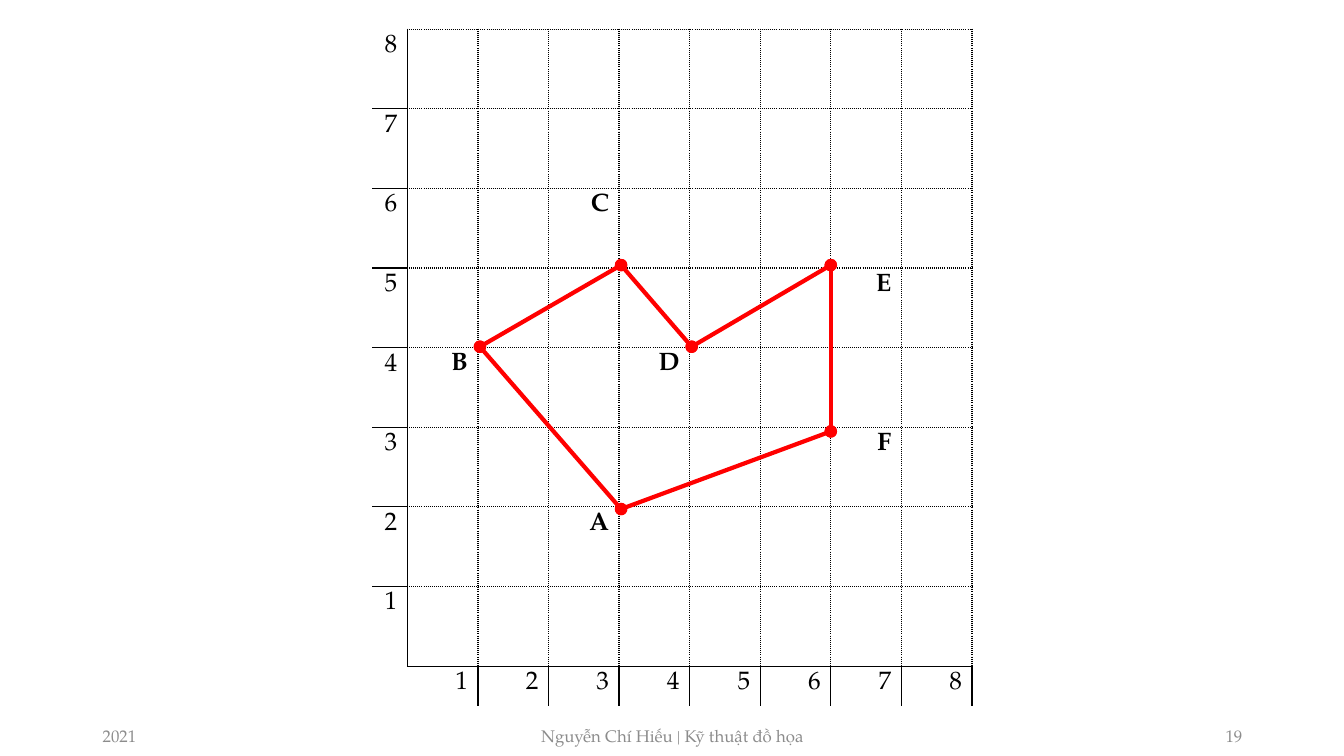
from lxml import etree
from pptx import Presentation
from pptx.dml.color import RGBColor
from pptx.enum import shapes, text
from pptx.oxml import ns
from pptx.util import Inches, Pt

FONT = "TeX Gyre Pagella"
BLACK = RGBColor(0, 0, 0)
GRAY = RGBColor(0x8C, 0x8C, 0x8C)
RED = RGBColor(0xFF, 0, 0)

UNITS = 8
AXIS_WIDTH, UNIT_WIDTH = 0.35, 0.7
UNIT_HEIGHT, AXIS_HEIGHT = 0.79, 0.39
VERTEX_LABELS = {(2, 3): "C", (3, 7): "E", (4, 1): "B",
                 (4, 4): "D", (5, 7): "F", (6, 3): "A"}
VERTICES = {"A": (2.47, 4.76), "B": (1.07, 3.15), "C": (2.47, 2.34),
            "D": (3.17, 3.15), "E": (4.55, 2.34), "F": (4.55, 3.99)}
EDGES = ["BC", "BA", "AF", "DE", "CD", "FE"]
FOOTER = [(0, 3, "2021", text.PP_ALIGN.LEFT),
          (3.5, 4.5, "Nguyễn Chí Hiếu | Kỹ thuật đồ họa", text.PP_ALIGN.CENTER),
          (8.5, 3, "19", text.PP_ALIGN.RIGHT)]


def style_paragraph(paragraph, size, color, align, bold=False):
    paragraph.alignment = align
    font = paragraph.font
    font.name, font.size, font.bold = FONT, Pt(size), bold
    font.color.rgb = color


def add_footer(slide, left, top, height):
    for offset, width, wording, align in FOOTER:
        box = slide.shapes.add_textbox(Inches(left + offset), Inches(top),
                                       Inches(width), Inches(height))
        frame = box.text_frame
        frame.word_wrap = True
        frame.vertical_anchor = text.MSO_ANCHOR.MIDDLE
        frame.text = wording
        style_paragraph(frame.paragraphs[0], 12, GRAY, align)


def vertical_dash(row, boundary):
    if boundary == 0:
        return None
    if boundary == 1:
        return "solid" if row < UNITS else None
    return "solid" if row == UNITS else "sysDot"


def horizontal_dash(boundary, column):
    if column == 0:
        return "solid" if 0 < boundary < UNITS else None
    if boundary > UNITS:
        return None
    return "solid" if boundary == UNITS else "sysDot"


def set_border(cell, side, dash):
    properties = cell._tc.get_or_add_tcPr()
    line = etree.SubElement(properties, ns.qn(f"a:ln{side}"), w=str(Pt(1)))
    if dash is None:
        etree.SubElement(line, ns.qn("a:noFill"))
        return
    fill = etree.SubElement(line, ns.qn("a:solidFill"))
    etree.SubElement(fill, ns.qn("a:srgbClr"), val=str(BLACK))
    etree.SubElement(line, ns.qn("a:prstDash"), val=dash)


def cell_label(row, column):
    if row == UNITS:
        return str(column) if column else ""
    if column == 0:
        return str(UNITS - row)
    return VERTEX_LABELS.get((row, column), "")


def add_grid(slide, left, top):
    size = UNITS + 1
    grid = slide.shapes.add_table(
        size, size, Inches(left), Inches(top),
        Inches(AXIS_WIDTH + UNITS * UNIT_WIDTH),
        Inches(UNITS * UNIT_HEIGHT + AXIS_HEIGHT)).table
    grid.first_row = grid.horz_banding = False
    for index in range(size):
        grid.columns[index].width = Inches(UNIT_WIDTH if index else AXIS_WIDTH)
        grid.rows[index].height = Inches(UNIT_HEIGHT if index < UNITS else AXIS_HEIGHT)
    for row in range(size):
        for column in range(size):
            cell = grid.cell(row, column)
            cell.text = cell_label(row, column)
            style_paragraph(cell.text_frame.paragraphs[0], 18, BLACK,
                            text.PP_ALIGN.RIGHT, (row, column) in VERTEX_LABELS)
            set_border(cell, "L", vertical_dash(row, column))
            set_border(cell, "R", vertical_dash(row, column + 1))
            set_border(cell, "T", horizontal_dash(row, column))
            set_border(cell, "B", horizontal_dash(row + 1, column))
            cell.fill.background()


def add_polygon(slide, left, top):
    for start, end in EDGES:
        (x1, y1), (x2, y2) = VERTICES[start], VERTICES[end]
        edge = slide.shapes.add_connector(
            shapes.MSO_CONNECTOR.STRAIGHT, Inches(left + x1), Inches(top + y1),
            Inches(left + x2), Inches(top + y2))
        edge.line.color.rgb = RED
        edge.line.width = Pt(3)
        line = edge.line._get_or_add_ln()
        for marker in ("headEnd", "tailEnd"):
            etree.SubElement(line, ns.qn(f"a:{marker}"), type="oval")
        etree.SubElement(edge._element.spPr, ns.qn("a:effectLst"))


def main():
    deck = Presentation()
    deck.slide_width, deck.slide_height = Inches(13.33), Inches(7.5)
    slide = deck.slides.add_slide(deck.slide_layouts[6])
    add_footer(slide, 0.92, 7.1, 0.4)
    add_grid(slide, 3.69, 0.29)
    add_polygon(slide, 3.69, 0.29)
    deck.save("out.pptx")


if __name__ == "__main__":
    main()
